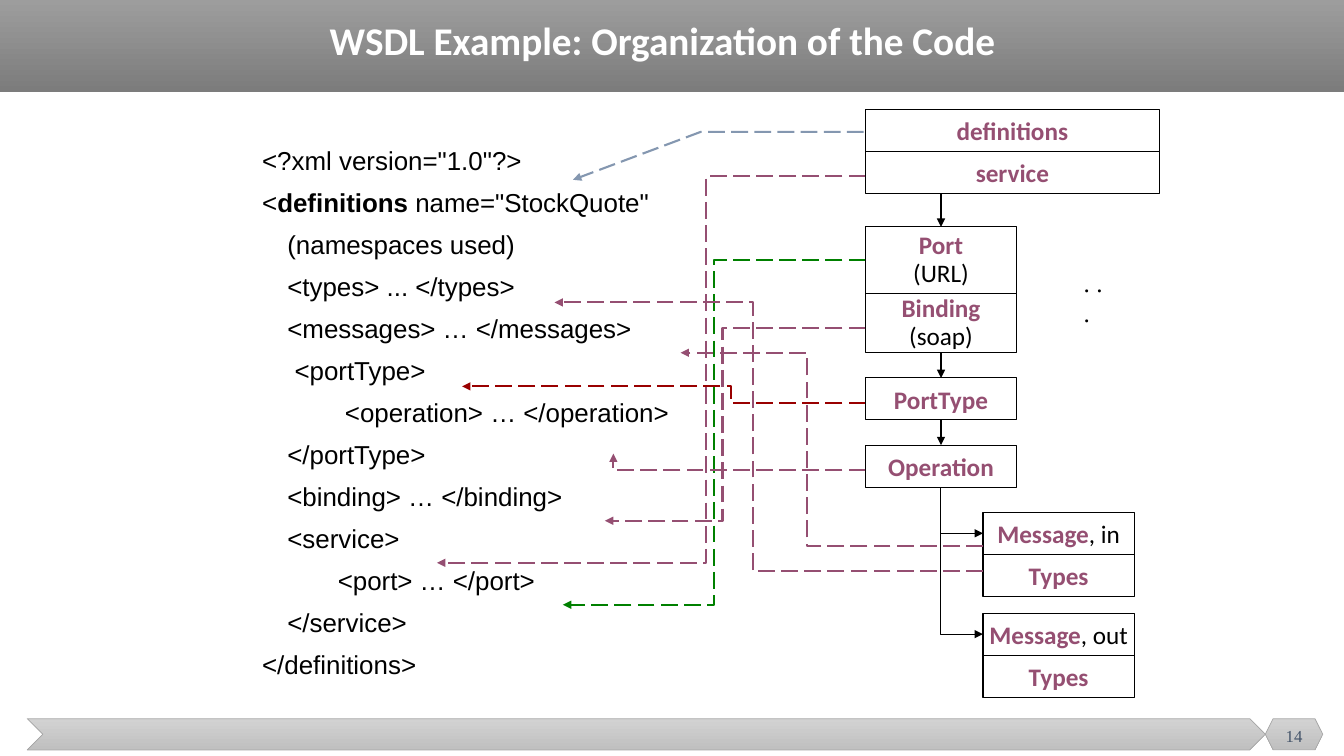
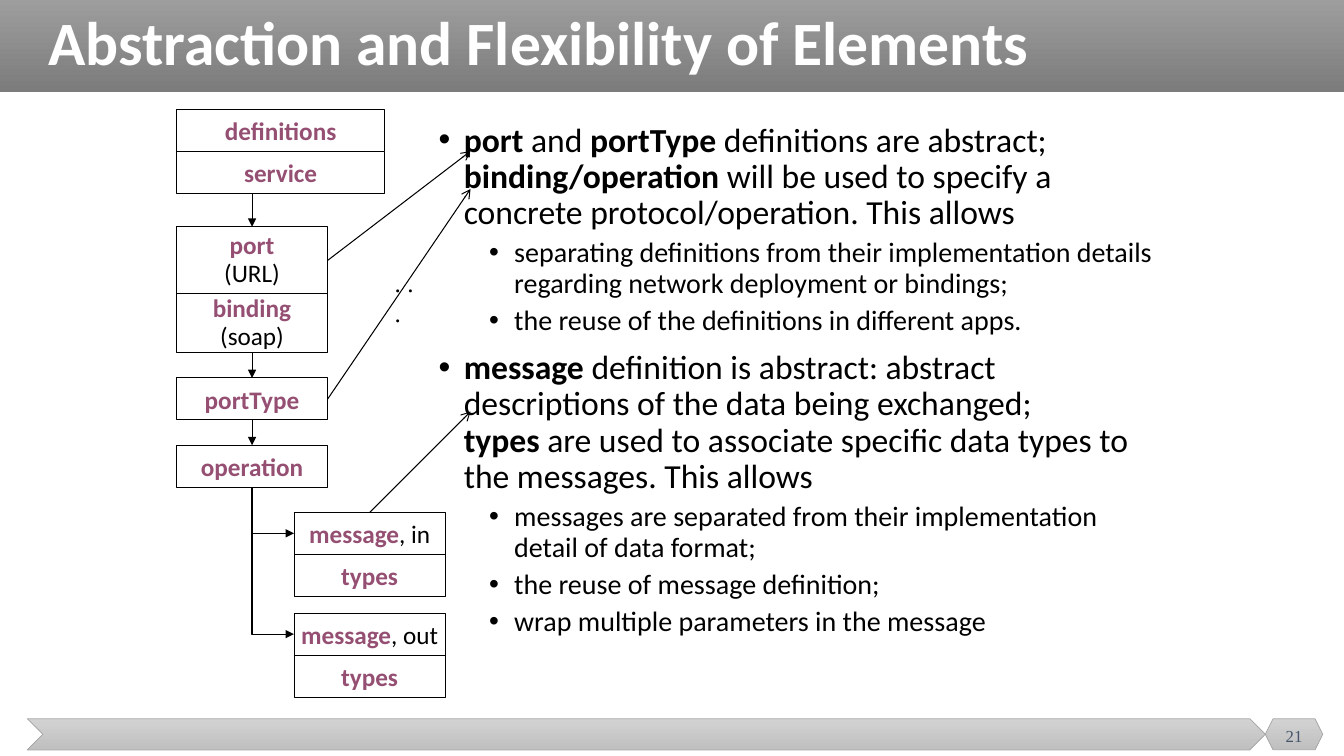
"""Build two slides on the organization and abstraction of WSDL elements."""
from lxml.etree import SubElement
from pptx import Presentation
from pptx.dml.color import RGBColor
from pptx.enum.dml import MSO_LINE
from pptx.enum.shapes import MSO_CONNECTOR, MSO_SHAPE
from pptx.enum.text import MSO_ANCHOR, MSO_AUTO_SIZE, PP_ALIGN
from pptx.oxml.ns import qn
from pptx.util import Inches, Pt

WIDTH, HEIGHT = 13.33, 7.5
UNIT = 1 / 12
BLACK, WHITE, PLUM, GREEN, RED = "000000", "FFFFFF", "954F72", "008000", "990000"
BLUE, SLATE, GREY = "8497B0", "44546A", "A5A5A5"
NUMBER_LEFT, NUMBER_WIDTH = 12.55, 0.57

BANDS = [
    (MSO_SHAPE.RECTANGLE, (0, 0, WIDTH, 0.91), ("9D9D9D", "7C7C7C"), None),
    (MSO_SHAPE.CHEVRON, (0.27, 7.13, 12.28, 0.31), ("D2D2D2", "C0C0C0"), GREY),
    (MSO_SHAPE.HEXAGON, (NUMBER_LEFT, 7.13, NUMBER_WIDTH, 0.31), ("D2D2D2", "C0C0C0"), GREY),
]

CODE = [
    '<?xml version="1.0"?>',
    '<**definitions** name="StockQuote"',
    "\t(namespaces used)",
    "\t<types> ... </types>",
    "\t<messages> … </messages>",
    "\t <portType>",
    "\t\t <operation> … </operation>",
    "\t</portType>",
    "\t<binding> … </binding>",
    "\t<service>",
    "\t\t<port> … </port>",
    "\t</service>",
    "</definitions>",
]
CODE_TABS = [0.75, 1.12, 1.5, 1.88, 2.25, 2.62, 3]

POINTS = [
    (0, "**port** and **portType** definitions are abstract; **binding/operation** will be used "
        "to specify a concrete protocol/operation. This allows"),
    (1, "separating definitions from their implementation details regarding network deployment "
        "or bindings;"),
    (1, "the reuse of the definitions in different apps."),
    (0, "**message** definition is abstract: abstract descriptions of the data being exchanged; \n"
        "**types** are used to associate specific data types to the messages. This allows"),
    (1, "messages are separated from their implementation detail of data format;"),
    (1, "the reuse of message definition;"),
    (1, "wrap multiple parameters in the message"),
]
POINT_STYLES = [(0.25, 24, 10), (0.75, 20, 5)]

HEADER_BOXES = [("definitions", 13), ("service", 18)]
BOXES = [
    ("port", "port", "\n(URL)", 0, 27, 8),
    ("binding", "binding", "\n(soap)", 0, 35, 7),
    ("portType", "portType", "", 0, 45, 5),
    ("operation", "operation", "", 0, 53, 5),
    ("in", "message", ", in", 14, 61, 5),
    ("in types", "types", "", 14, 66, 5),
    ("out", "message", ", out", 14, 73, 5),
    ("out types", "types", "", 14, 78, 5),
]
BOX_WIDTH, HEADER_HEIGHT = 18, 5

CODE_LINKS = [
    (PLUM, [(103, 21), (84, 21), (84, 67), (52, 67)]),
    (GREEN, [(103, 31), (85, 31), (85, 72), (67, 72)]),
    (PLUM, [(103, 39), (86, 39), (86, 62), (72, 62)]),
    (RED, [(103, 48), (87, 48), (87, 46), (55, 46)]),
    (PLUM, [(103, 56), (73, 56), (73, 54)]),
    (PLUM, [(117, 68), (89.6, 68), (89.6, 36), (66, 36)]),
    (PLUM, [(117, 65), (96, 65), (96, 42), (81, 42)]),
    (BLUE, [(102.8, 15.7), (83.4, 15.7), (68.2, 21.4)]),
]
POINT_LINKS = [("port", 3, (56, 18)), ("in", 0, (56, 49)), ("portType", 3, (56, 22.5))]


def color(value):
    return RGBColor.from_string(value)


def grid(*values):
    return [Inches(value * UNIT) for value in values]


def place(shape, area):
    shape.left, shape.top, shape.width, shape.height = map(Inches, area)


def set_font(font, name, size, value):
    font.name, font.size = name, Pt(size)
    font.color.rgb = color(value)


def add_runs(paragraph, text):
    for index, part in enumerate(text.split("**")):
        for line_index, line in enumerate(part.split("\n")):
            if line_index:
                paragraph.add_line_break()
            if line:
                run = paragraph.add_run()
                run.text = line
                run.font.bold = index % 2 == 1


def set_arrow(shape, end, kind):
    SubElement(shape.get_or_add_ln(), qn(f"a:{end}"), type=kind)


def add_bands(slide):
    tree = slide.slide_layout.shapes.element
    for index, (kind, area, stops, outline) in enumerate(BANDS):
        shape = slide.shapes.add_shape(kind, *map(Inches, area))
        shape.shadow.inherit = False
        shape.fill.gradient()
        shape.fill.gradient_angle = 270
        for stop, value in zip(shape.fill.gradient_stops, stops):
            stop.color.rgb = color(value)
        if outline:
            shape.line.color.rgb = color(outline)
            shape.line.width = Pt(0.5)
        else:
            shape.line.fill.background()
        tree.insert(2 + index, shape.element)


def add_slide(presentation, title, title_area, title_size, body_area, number):
    slide = presentation.slides.add_slide(presentation.slide_layouts[1])
    heading, body = slide.placeholders
    place(heading, title_area)
    place(body, body_area)
    for shape in (heading, body):
        shape.text_frame.word_wrap = True
        shape.text_frame.auto_size = MSO_AUTO_SIZE.NONE
    heading.text_frame.vertical_anchor = MSO_ANCHOR.MIDDLE
    heading.text_frame.text = title
    paragraph = heading.text_frame.paragraphs[0]
    paragraph.alignment, paragraph.line_spacing = PP_ALIGN.LEFT, 0.9
    set_font(paragraph.font, "Calibri", title_size, WHITE)
    paragraph.font.bold = True
    area = map(Inches, (NUMBER_LEFT, 7.1, NUMBER_WIDTH, 0.4))
    frame = slide.shapes.add_textbox(*area).text_frame
    frame.word_wrap, frame.vertical_anchor = True, MSO_ANCHOR.MIDDLE
    frame.text = str(number)
    frame.paragraphs[0].alignment = PP_ALIGN.CENTER
    set_font(frame.paragraphs[0].font, "Times New Roman", 12, SLATE)
    return slide, body.text_frame


def add_body_line(frame, text, style, font_name, level=0, bullet=True, tabs=()):
    margin, size, space = style
    paragraph = frame.paragraphs[0]
    if paragraph.runs:
        paragraph = frame.add_paragraph()
        paragraph.space_before = Pt(space)
    else:
        paragraph.space_before = Pt(0)
    paragraph.level, paragraph.line_spacing = level, 0.9
    properties = paragraph._p.get_or_add_pPr()
    properties.set("marL", str(Inches(margin)))
    properties.set("indent", str(Inches(-0.25)))
    if bullet:
        SubElement(properties, qn("a:buFont"), typeface="Arial")
        SubElement(properties, qn("a:buChar"), char="•")
    else:
        SubElement(properties, qn("a:buNone"))
    if tabs:
        stops = SubElement(properties, qn("a:tabLst"))
        for position in tabs:
            SubElement(stops, qn("a:tab"), pos=str(Inches(position)), algn="l")
    set_font(paragraph.font, font_name, size, BLACK)
    add_runs(paragraph, text)


def add_box(slide, name, plain, *area):
    box = slide.shapes.add_shape(MSO_SHAPE.RECTANGLE, *grid(*area))
    box.shadow.inherit = False
    box.fill.solid()
    box.fill.fore_color.rgb = color(WHITE)
    box.line.color.rgb = color(BLACK)
    box.line.width = Pt(0.75)
    frame = box.text_frame
    frame.word_wrap, frame.vertical_anchor = False, MSO_ANCHOR.MIDDLE
    add_runs(frame.paragraphs[0], f"**{name}**")
    if plain.startswith("\n"):
        add_runs(frame.add_paragraph(), plain.strip())
    elif plain:
        add_runs(frame.paragraphs[0], plain)
    for paragraph in frame.paragraphs:
        paragraph.alignment = PP_ALIGN.CENTER
        if len(frame.paragraphs) > 1:
            paragraph.line_spacing = 0.9
        for run in paragraph.runs:
            set_font(run.font, "Calibri", 18, PLUM if run.font.bold else BLACK)
    return box


def add_link(slide, begin, end, kind="triangle", elbow=False):
    shape_kind = MSO_CONNECTOR.ELBOW if elbow else MSO_CONNECTOR.STRAIGHT
    points = [(0, 0) if hasattr(at[0], "shape_id") else grid(*at) for at in (begin, end)]
    link = slide.shapes.add_connector(shape_kind, *points[0], *points[1])
    for at, connect in ((begin, link.begin_connect), (end, link.end_connect)):
        if hasattr(at[0], "shape_id"):
            connect(*at)
    link.line.color.rgb = color(BLACK)
    link.line.width = Pt(0.75)
    set_arrow(link, "headEnd" if elbow else "tailEnd", kind)
    properties = link.element.spPr
    SubElement(properties, qn("a:effectLst"))
    if elbow:
        properties.find(qn("a:prstGeom")).set("prst", "bentConnector2")


def add_diagram(slide, left, header_width, capital):
    boxes = {}
    for key, name, plain, column, top, height in BOXES:
        label = name[0].upper() + name[1:] if capital else name
        boxes[key] = add_box(slide, label, plain, left + column, top, BOX_WIDTH, height)
    for name, top in HEADER_BOXES:
        add_box(slide, name, "", left, top, header_width, HEADER_HEIGHT)
    add_link(slide, (left + BOX_WIDTH / 2, 23), (boxes["port"], 0))
    for upper, lower in (("binding", "portType"), ("portType", "operation")):
        add_link(slide, (boxes[upper], 2), (boxes[lower], 0))
    for key in ("in", "out"):
        add_link(slide, (boxes[key], 1), (boxes["operation"], 2), elbow=True)
    frame = slide.shapes.add_textbox(*grid(left + 24.8, 31.2, 6.1, 4.8)).text_frame
    frame.word_wrap = False
    frame.text = ". . ."
    set_font(frame.paragraphs[0].font, "Times New Roman", 18, BLACK)
    return boxes


def add_code_link(slide, value, points):
    start, *others = [grid(*point) for point in points]
    builder = slide.shapes.build_freeform(*start)
    builder.add_line_segments(others, close=False)
    shape = builder.convert_to_shape()
    shape.shadow.inherit = False
    shape.fill.background()
    shape.line.color.rgb = color(value)
    shape.line.width = Pt(1.5)
    shape.line.dash_style = MSO_LINE.LONG_DASH
    set_arrow(shape, "tailEnd", "triangle")


def main():
    presentation = Presentation()
    presentation.slide_width, presentation.slide_height = Inches(WIDTH), Inches(HEIGHT)

    slide, frame = add_slide(presentation, "WSDL Example: Organization of the Code",
                             (3.17, 0.08, 8.33, 0.68), 28, (2.5, 1.42, 5.5, 5.5), 14)
    add_bands(slide)
    for line in CODE:
        add_body_line(frame, line, (0.25, 18.5, 10), "Arial", bullet=False, tabs=CODE_TABS)
    add_diagram(slide, 103, 35, capital=True)
    for value, points in CODE_LINKS:
        add_code_link(slide, value, points)

    slide, frame = add_slide(presentation, "Abstraction and Flexibility of Elements",
                             (0.38, 0, 12.74, 0.91), 44, (4.25, 1.17, 7.33, 6.08), 21)
    for level, text in POINTS:
        add_body_line(frame, text, POINT_STYLES[level], "Calibri", level)
    boxes = add_diagram(slide, 21, 24.8, capital=False)
    for key, side, target in POINT_LINKS:
        add_link(slide, (boxes[key], side), target, kind="arrow")

    presentation.save("out.pptx")


if __name__ == "__main__":
    main()
